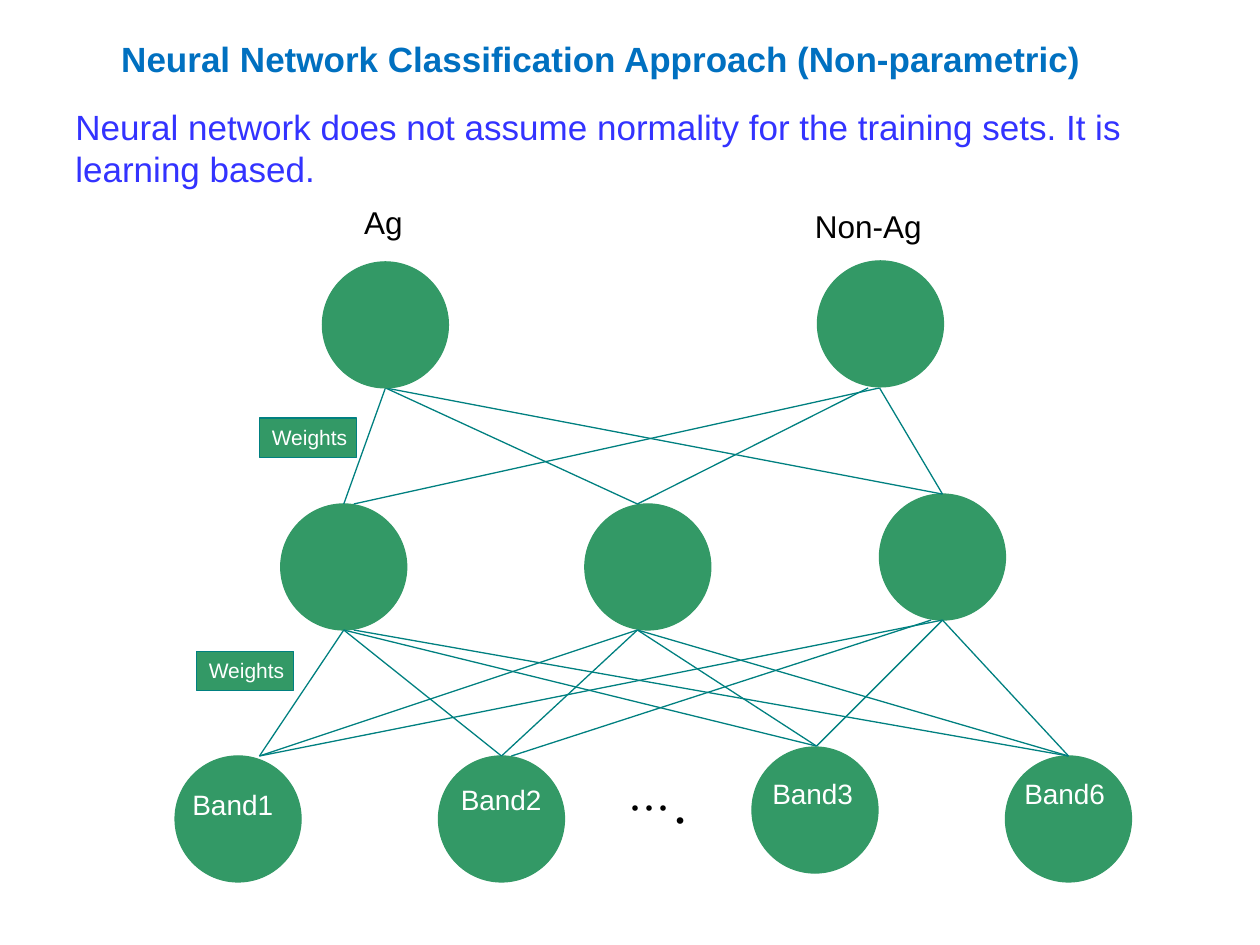
from itertools import product
from lxml import etree
from pptx import Presentation
from pptx import util as u
from pptx.dml.color import RGBColor
from pptx.enum import shapes, text
from pptx.oxml.ns import qn

GREEN, TEAL, WHITE, BLACK = "339966", "008080", "FFFFFF", "000000"
SIZE = 2.54
OUTPUT = [(6.5, 5.28), (16.48, 5.26)]
HIDDEN = [(5.66, 10.16), (11.79, 10.16), (17.73, 9.96)]
INPUT = [(3.53, 15.24), (8.84, 15.24), (15.16, 15.06), (20.27, 15.24)]
OUT_ENDS = [(7.77, 7.82), (17.73, 7.82)]
HID_TOPS = [(6.93, 10.16), (12.85, 10.16), (19, 9.96)]
HID_ENDS = [(x, y + SIZE) for x, y in HID_TOPS]
IN_TOPS = [(5.23, 15.24), (10.11, 15.24), (16.46, 15.04), (21.54, 15.24)]
IN_SHIFT = {(1, 2): (0.2, -0.23), (3, 0): (0, 0.2)}
HID_SHIFT = {(0, 1): (0.2, 0), (1, 1): (0, -0.23)}
BANDS = [("Band1", 3.63, 15.75), ("Band2", 9.04, 15.65),
         ("Band3", 15.32, 15.52), ("Band6", 20.4, 15.52)]


def cm(*nums):
    """Turn numbers into lengths."""
    return [u.Cm(n) for n in nums]


def tint(hue):
    """Turn a hex string into a colour."""
    return RGBColor.from_string(hue)


def write(shape, words, wrap=True, align=text.PP_ALIGN.LEFT, **form):
    """Put one formatted line of text in a shape."""
    frame = shape.text_frame
    frame.word_wrap = wrap
    frame.vertical_anchor = text.MSO_ANCHOR.TOP
    para = frame.paragraphs[0]
    para.alignment = align
    run = para.add_run()
    run.text = words
    run.font.color.rgb = tint(form.pop("hue"))
    for key, val in {"name": "Arial", **form}.items():
        setattr(run.font, key, val)


def label(slide, words, box, pt, hue, **form):
    """Add a text box."""
    shape = slide.shapes.add_textbox(*cm(*box))
    write(shape, words, size=u.Pt(pt), hue=hue, **form)


def solid(slide, kind, box, edge):
    """Add a green preset shape."""
    shape = slide.shapes.add_shape(kind, *cm(*box))
    shape.shadow.inherit = False
    shape.fill.solid()
    shape.fill.fore_color.rgb = tint(GREEN)
    shape.line.color.rgb = tint(edge)
    shape.line.width = u.Pt(0.75)
    return shape


def node(slide, x, y):
    """Add one neuron."""
    solid(slide, shapes.MSO_SHAPE.OVAL, (x, y, SIZE, SIZE), GREEN)


def weight(slide, x, y):
    """Add one weight tag."""
    box = solid(slide, shapes.MSO_SHAPE.RECTANGLE, (x, y, 1.96, 0.79), TEAL)
    write(box, "Weights", wrap=False, size=u.Pt(12), hue=WHITE)


def link(slide, lows, highs, shift):
    """Join every low point to every high point."""
    for (i, (x, y)), (j, (p, q)) in product(enumerate(lows), enumerate(highs)):
        left, right = shift.get((i, j), (0, 0))
        line = slide.shapes.add_connector(
            shapes.MSO_CONNECTOR.STRAIGHT, *cm(x + left, y, p + right, q))
        line.line.color.rgb = tint(TEAL)
        line.line.width = u.Pt(0.75)
        etree.SubElement(line._element.spPr, qn("a:effectLst"))


def main():
    """Build the slide."""
    deck = Presentation()
    deck.slide_width, deck.slide_height = cm(25.4, 19.05)
    slide = deck.slides.add_slide(deck.slide_layouts[6])
    for spot in HIDDEN + INPUT:
        node(slide, *spot)
    weight(slide, 3.96, 13.13)
    weight(slide, 5.23, 8.43)
    link(slide, IN_TOPS, HID_ENDS, IN_SHIFT)
    link(slide, HID_TOPS, OUT_ENDS, HID_SHIFT)
    for spot in OUTPUT:
        node(slide, *spot)
    label(slide, "Ag", (7.09, 3.96, 1.3, 1.02), 18, BLACK, wrap=False)
    label(slide, "Non-Ag", (16.18, 4.04, 2.67, 1.02), 18, BLACK, wrap=False)
    for name, x, y in BANDS:
        label(slide, name, (x, y, 2.79, 0.94), 16, WHITE)
    label(slide, "…．", (12.42, 15.65, 1.93, 1.27), 24, BLACK)
    label(slide, "Neural Network Classification Approach (Non-parametric)",
          (1.83, 0.64, 20.57, 1.12), 20, "0070C0", bold=True,
          align=text.PP_ALIGN.CENTER)
    label(slide, "Neural network does not assume normality for the training "
          "sets. It is learning based.", (1.27, 2.01, 23.77, 1.96), 20, "3333FF")
    deck.save("out.pptx")


if __name__ == "__main__":
    main()
